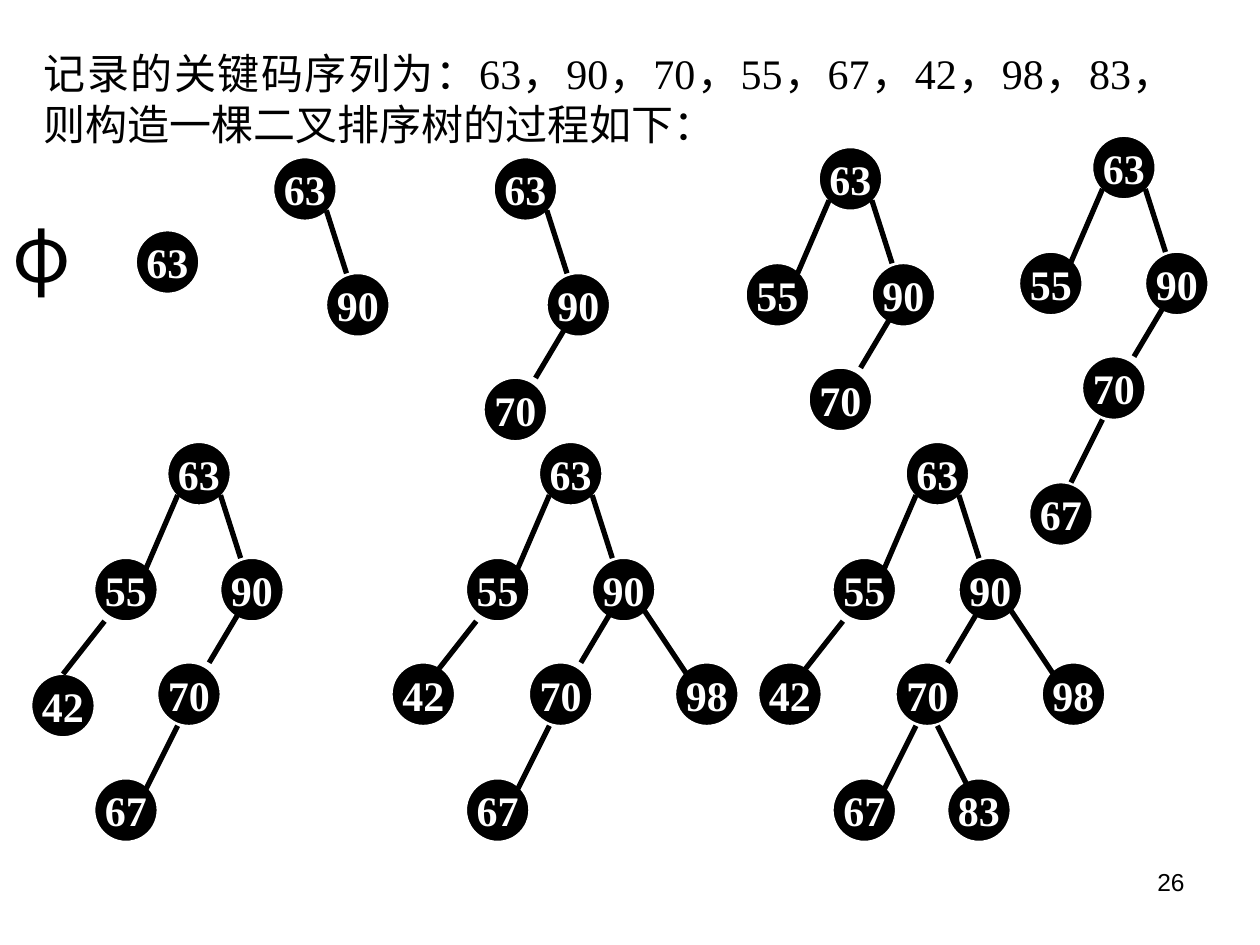
from pptx import Presentation
from pptx.dml.color import RGBColor
from pptx.enum.shapes import MSO_CONNECTOR, MSO_SHAPE
from pptx.enum.text import MSO_ANCHOR, PP_ALIGN
from pptx.oxml.ns import qn
from pptx.util import Inches, Pt
from lxml.etree import SubElement

BLACK, WHITE = "000000", "FFFFFF"
SERIF, CJK = "Times New Roman", "Noto Sans CJK SC"
NODE_SIZE = 0.5

# Key: node offset, edge start and edge end, all from the root's top left
NODES = {
    63: (0, 0),
    90: (0.42, 0.92),
    55: (-0.58, 0.92),
    70: (-0.08, 1.75),
    67: (-0.58, 2.67),
    42: (-1.17, 1.75),
    98: (1.08, 1.75),
    83: (0.33, 2.67),
}
EDGES = {
    90: (0.42, 0.42, 0.58, 0.92),
    55: (0.08, 0.42, -0.17, 1),
    70: (0.58, 1.33, 0.33, 1.75),
    67: (0.08, 2.25, -0.17, 2.75),
    42: (-0.5, 1.42, -0.83, 1.84),
    98: (0.83, 1.33, 1.17, 1.84),
    83: (0.25, 2.25, 0.5, 2.75),
}
FULL_ROW_TOP = 3.51
TREES = [
    (1.08, 1.83, [63], {}),
    (2.17, 1.25, [63, 90], {}),
    (3.92, 1.25, [63, 90, 70], {}),
    (6.5, 1.17, [63, 90, 70, 55], {}),
    (8.67, 1.08, [63, 90, 70, 55, 67], {67: (-0.5, 2.75)}),
    (1.33, FULL_ROW_TOP, [63, 90, 70, 55, 67, 42], {42: (-1.08, 1.84)}),
    (4.28, FULL_ROW_TOP, [63, 90, 70, 55, 67, 42, 98], {}),
    (7.19, FULL_ROW_TOP, [63, 90, 70, 55, 67, 42, 98, 83], {}),
]


def color(value):
    return RGBColor.from_string(value)


def write(shape, text, size=24, font=SERIF, fill=BLACK, bold=False,
          align=PP_ALIGN.LEFT, anchor=MSO_ANCHOR.TOP, wrap=True):
    frame = shape.text_frame
    frame.word_wrap = wrap
    frame.vertical_anchor = anchor
    paragraph = frame.paragraphs[0]
    paragraph.alignment = align
    run = paragraph.add_run()
    run.text = text
    run.font.size = Pt(size)
    run.font.bold = bold
    run.font.name = font
    run.font.color.rgb = color(fill)
    SubElement(run.font._element, qn("a:ea")).set("typeface", CJK)


def add_label(slide, box, text, **style):
    write(slide.shapes.add_textbox(*map(Inches, box)), text, **style)


def add_node(shapes, left, top, key):
    node = shapes.add_shape(MSO_SHAPE.OVAL, Inches(left), Inches(top),
                            Inches(NODE_SIZE), Inches(NODE_SIZE))
    node.shadow.inherit = False
    node.fill.solid()
    node.fill.fore_color.rgb = color(BLACK)
    node.line.color.rgb = color(WHITE)
    node.line.width = Pt(1)
    write(node, str(key), fill=WHITE, bold=True, align=PP_ALIGN.CENTER,
          anchor=MSO_ANCHOR.MIDDLE, wrap=False)


def add_edge(shapes, left, top, ends):
    x1, y1, x2, y2 = ends
    edge = shapes.add_connector(
        MSO_CONNECTOR.STRAIGHT, Inches(left + x1), Inches(top + y1),
        Inches(left + x2), Inches(top + y2))
    edge.line.color.rgb = color(BLACK)
    edge.line.width = Pt(3)
    SubElement(edge._element.spPr, qn("a:effectLst"))


def add_tree(slide, left, top, keys, moved):
    shapes = slide.shapes
    if len(keys) > 1:
        shapes = shapes.add_group_shape().shapes
    for key in keys:
        dx, dy = moved.get(key, NODES[key])
        add_node(shapes, left + dx, top + dy, key)
    for key in keys[1:]:
        add_edge(shapes, left, top, EDGES[key])


def main():
    deck = Presentation()
    deck.slide_width, deck.slide_height = Inches(10), Inches(7.5)
    slide = deck.slides.add_slide(deck.slide_layouts[6])
    add_label(slide, (7.17, 6.83, 2.33, 0.52), "26", size=14, font="Arial",
              align=PP_ALIGN.RIGHT)
    add_label(slide, (0.25, 0.33, 9.17, 0.9),
              "记录的关键码序列为：63，90，70，55，67，42，98，83，"
              "则构造一棵二叉排序树的过程如下：", align=PP_ALIGN.JUSTIFY)
    add_label(slide, (0, 1.58, 0.92, 0.83), "φ", size=44, font=CJK)
    for tree in TREES:
        add_tree(slide, *tree)
    deck.save("out.pptx")


if __name__ == "__main__":
    main()
